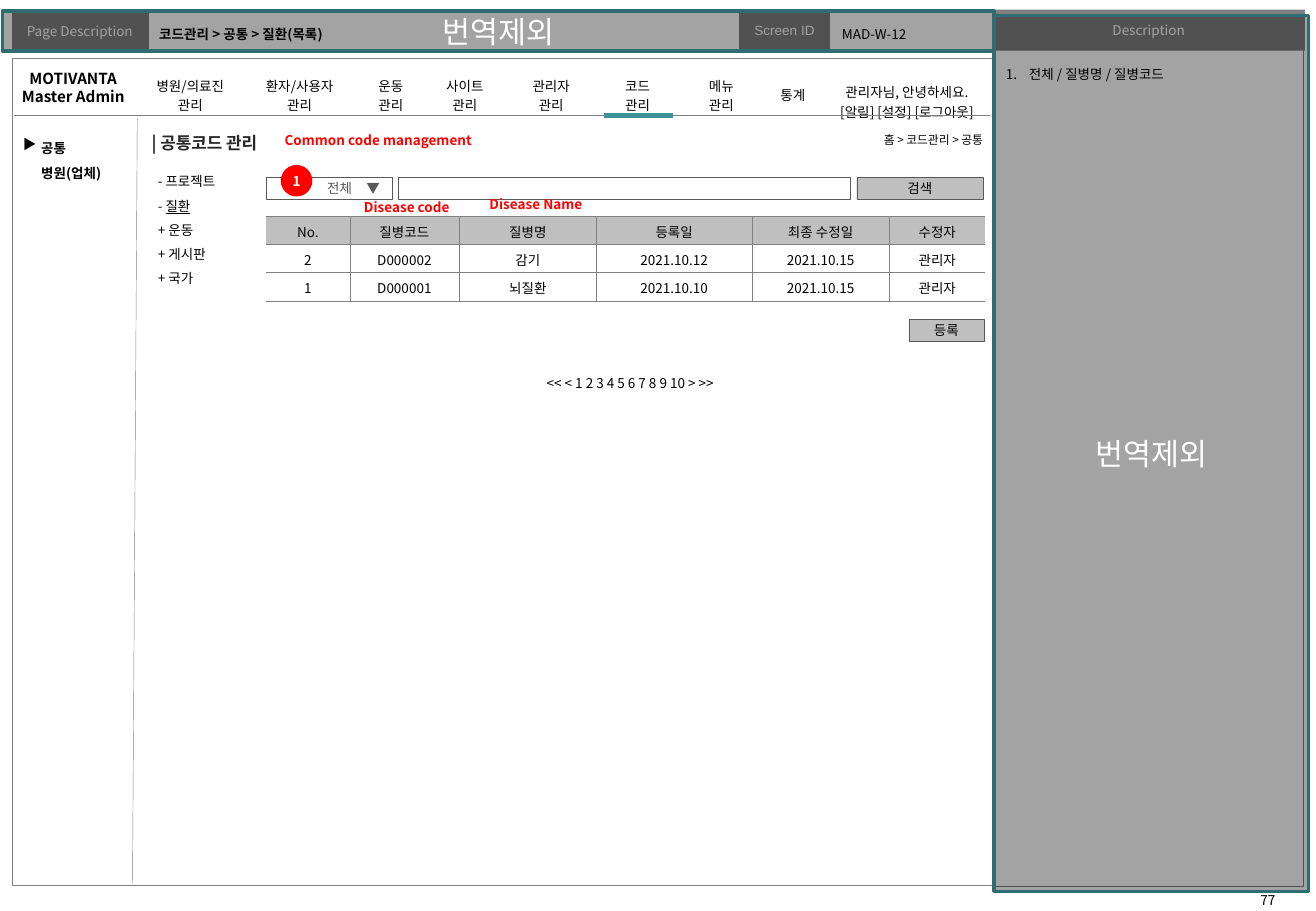
from pptx import Presentation, util as u
from pptx.dml.color import RGBColor
from pptx.enum import shapes, text
from pptx.oxml import parse_xml
from pptx.oxml.ns import nsdecls, qn

COLORS = {"white": "FFFFFF", "black": "000000", "gray": "808080", "silver": "BFBFBF",
          "slate": "595959", "ink": "262626", "red": "FF0000", "teal": "3B9399",
          "frame": "2F6D72"}
FONT = "Noto Sans CJK KR"
ALIGN = {"l": text.PP_ALIGN.LEFT, "c": text.PP_ALIGN.CENTER, "r": text.PP_ALIGN.RIGHT}
ANCHOR = {"t": text.MSO_ANCHOR.TOP, "m": text.MSO_ANCHOR.MIDDLE}
INSETS = (0.25, 0.13, 0.25, 0.13)
RECT, OVAL = shapes.MSO_SHAPE.RECTANGLE, shapes.MSO_SHAPE.OVAL

HEADER = ["Page Description", "", "Screen ID", ""]
HEADER_WIDTHS = [2.84, 12.37, 1.88, 3.43]
MENU = [["병원/의료진", "관리"], ["환자/사용자", "관리"], ["운동", "관리"], ["사이트", "관리"],
        ["관리자", "관리"], ["코드", "관리"], ["메뉴", "관리"], ["통계"],
        ["관리자님, 안녕하세요.", "[알림] [설정] [로그아웃]"]]
MENU_WIDTHS = [2.16, 2.41, 1.4, 1.7, 1.91, 1.7, 1.8, 1.19, 3.58]
DISEASES = [["No.", "질병코드", "질병명", "등록일", "최종 수정일", "수정자"],
            ["2", "D000002", "감기", "2021.10.12", "2021.10.15", "관리자"],
            ["1", "D000001", "뇌질환", "2021.10.10", "2021.10.15", "관리자"]]
DISEASE_WIDTHS = [1.75, 2.29, 2.87, 3.25, 2.87, 2.01]

FRAMES = [((0.25, 1.22, 20.5, 17.3), None), ((20.75, 0.99, 6.5, 17.55), None),
          ((20.75, 0.2, 6.53, 0.86), "gray")]
OVERLAYS = [(20.78, 0.33, 6.58, 18.31), (0.05, 0.23, 20.73, 0.84)]
LINES = [((2.87, 2.49, 2.77, 18.49), "gray", 0.25), ((0.3, 2.41, 20.7, 2.41), "gray", 0.25),
         ((12.62, 2.41, 14.07, 2.41), "teal", 3)]
BUTTONS = [("등록", (19, 6.68, 1.57, 0.46), "silver"), ("", (8.33, 3.71, 9.45, 0.46), None),
           ("검색", (17.91, 3.71, 2.64, 0.46), "silver")]
NO_INSETS = (0, 0, 0, 0)
RED_LABEL = {"align": "c", "bold": True, "color": "red", "insets": NO_INSETS}
LABELS = [
    (["77"], (25.45, 18.52, 2.11, 0.51), {"align": "c"}),
    (["공통", "병원(업체)"], (0.61, 2.64, 1.85, 1.27), {"bold": True, "spacing": 1.5}),
    (["MOTIVANTA", "Master Admin"], (0.03, 1.32, 3, 1.02),
     {"align": "c", "bold": True, "size": 9}),
    (["코드관리 > 공통 > 질환(목록)"], (3.23, 0.33, 12.73, 0.76),
     {"bold": True, "anchor": "m", "insets": (0.1, 0.13, 0.1, 0.13)}),
    (["MAD-W-12"], (17.35, 0.33, 3.3, 0.76), {"anchor": "m"}),
    (["▶"], (0.23, 2.72, 0.79, 0.61), {}),
    (["| 공통코드 관리"], (2.92, 2.64, 3.02, 0.69), {"bold": True, "size": 10, "color": "ink"}),
    (["- 프로젝트", ("- ", "질환"), "+ 운동", "+ 게시판", "+ 국가"], (3.05, 3.33, 2.2, 2.82),
     {"spacing": 1.5}),
    (["<< < 1 2 3 4 5 6 7 8 9 10 > >>"], (5.56, 7.72, 15.24, 0.61), {"align": "c"}),
    (["홈 > 코드관리 > 공통"], (16.8, 2.64, 4, 0.56), {"align": "r", "size": 7}),
    (["Common code management"], (5.56, 2.77, 4.7, 0.33), RED_LABEL),
    (["Disease code"], (7.26, 4.17, 2.49, 0.33), RED_LABEL),
    (["Disease Name"], (9.96, 4.11, 2.49, 0.33), RED_LABEL),
]


def rgb(name):
    return RGBColor.from_string(COLORS[name])


def box(bounds):
    return [u.Cm(value) for value in bounds]


def style(run, size=8, color="black", bold=False, font=FONT):
    run.font.size, run.font.bold, run.font.name = u.Pt(size), bold, font
    run.font.color.rgb = rgb(color)
    run._r.rPr.append(parse_xml(f'<a:ea {nsdecls("a")} typeface="{FONT}"/>'))


def write(frame, lines, align="l", spacing=None, **look):
    for index, line in enumerate(lines):
        paragraph = frame.add_paragraph() if index else frame.paragraphs[0]
        paragraph.alignment = ALIGN[align]
        if spacing:
            paragraph.line_spacing = spacing
        for position, part in enumerate(line if isinstance(line, tuple) else (line,)):
            run = paragraph.add_run()
            run.text = part
            style(run, **look)
            if position:
                run.font.underline = True


def set_insets(target, insets):
    sides = ("margin_left", "margin_top", "margin_right", "margin_bottom")
    for side, value in zip(sides, insets):
        setattr(target, side, u.Cm(value))


def add_label(slide, lines, bounds, anchor="t", insets=INSETS, **look):
    frame = slide.shapes.add_textbox(*box(bounds)).text_frame
    frame.word_wrap, frame.vertical_anchor = True, ANCHOR[anchor]
    set_insets(frame, insets)
    write(frame, lines, **look)
    return frame


def add_box(slide, bounds, fill=None, line=None, width=0.25, kind=RECT, label="", **look):
    shape = slide.shapes.add_shape(kind, *box(bounds))
    shape.shadow.inherit = False
    if fill:
        shape.fill.solid()
        shape.fill.fore_color.rgb = rgb(fill)
    else:
        shape.fill.background()
    if line:
        shape.line.color.rgb, shape.line.width = rgb(line), u.Pt(width)
    else:
        shape.line.fill.background()
    set_insets(shape.text_frame, NO_INSETS)
    shape.text_frame.vertical_anchor = ANCHOR["m"]
    if label:
        write(shape.text_frame, [label], **{"align": "c", **look})
    return shape


def add_line(slide, ends, color, width):
    line = slide.shapes.add_connector(shapes.MSO_CONNECTOR.STRAIGHT, *box(ends))
    line.line.color.rgb, line.line.width = rgb(color), u.Pt(width)
    line._element.spPr.append(parse_xml(f'<a:effectLst {nsdecls("a")}/>'))


def add_grid(slide, left, top, widths, height, count):
    frame = slide.shapes.add_table(count, len(widths),
                                   *box((left, top, sum(widths), height * count)))
    table = frame.table
    table.first_row = table.horz_banding = False
    for column, width in zip(table.columns, widths):
        column.width = u.Cm(width)
    for row in table.rows:
        row.height = u.Cm(height)
    return table


def fill_cell(cell, lines, insets, fill=None, edges="", **look):
    cell.vertical_anchor = ANCHOR["m"]
    set_insets(cell, insets)
    for side in "LRTB":
        paint = (f'<a:solidFill><a:srgbClr val="{COLORS["gray"]}"/></a:solidFill>'
                 if side in edges else "<a:noFill/>")
        cell._tc.get_or_add_tcPr().append(
            parse_xml(f'<a:ln{side} {nsdecls("a")} w="3175">{paint}</a:ln{side}>'))
    if fill:
        cell.fill.solid()
        cell.fill.fore_color.rgb = rgb(fill)
    else:
        cell.fill.background()
    if lines == [""]:
        cell.text_frame.paragraphs[0]._p.get_or_add_endParaRPr().set("sz", "800")
    else:
        write(cell.text_frame, lines, align="c", **look)


def add_tables(slide):
    menu = add_grid(slide, 2.9, 1.37, MENU_WIDTHS, 1.04, 1)
    for column, lines in enumerate(MENU):
        last = column == len(MENU) - 1
        fill_cell(menu.cell(0, column), lines,
                  (0.25, 0.13, 0.25, 0) if last else (0.1, 0, 0.1, 0.13))
    diseases = add_grid(slide, 5.56, 4.52, DISEASE_WIDTHS, 0.59, len(DISEASES))
    for row, values in enumerate(DISEASES):
        for column, value in enumerate(values):
            edges = "TB" + "L" * (column > 0) + "R" * (column < len(values) - 1)
            fill_cell(diseases.cell(row, column), [value], (0.1, 0.1, 0.1, 0.05),
                      None if row else "silver", edges)


def add_page_frame(slide):
    header = add_grid(slide, 0.25, 0.23, HEADER_WIDTHS, 0.81, 1)
    for column, value in enumerate(HEADER):
        fill_cell(header.cell(0, column), [value], (0.1, 0.1, 0.1, 0.1),
                  "gray" if value else "white", "LRTB", color="white",
                  font="Arial" if value == "Screen ID" else FONT)
    for bounds, fill in FRAMES:
        add_box(slide, bounds, fill, None if fill else "gray",
                label="Description" if fill else "", color="white")
    for bounds in OVERLAYS:
        overlay = add_box(slide, bounds, "black", "frame", 2, label="번역제외",
                          size=18, color="white")
        tint = overlay._element.spPr.find(qn("a:solidFill"))[0]
        tint.append(parse_xml(f'<a:alpha {nsdecls("a")} val="36000"/>'))


def main():
    """Build the disease code list screen."""
    presentation = Presentation()
    presentation.slide_width, presentation.slide_height = u.Cm(27.51), u.Cm(19.05)
    slide = presentation.slides.add_slide(presentation.slide_layouts[6])
    add_page_frame(slide)
    add_tables(slide)
    for ends, color, width in LINES:
        add_line(slide, ends, color, width)
    for label, bounds, fill in BUTTONS:
        add_box(slide, bounds, fill, "slate", label=label)
    choice = add_box(slide, (5.56, 3.71, 2.64, 0.46), None, "slate",
                     label="전체\t▼", align="l", color="slate")
    choice.text_frame.margin_left = u.Cm(1.28)
    choice.text_frame.paragraphs[0]._p.get_or_add_pPr().append(parse_xml(
        f'<a:tabLst {nsdecls("a")}><a:tab pos="{u.Cm(0.82)}" algn="l"/></a:tabLst>'))
    add_box(slide, (5.87, 3.45, 0.66, 0.66), "red", kind=OVAL, label="1",
            color="white", bold=True)
    for lines, bounds, look in LABELS:
        add_label(slide, lines, bounds, **look)
    notes = add_label(slide, ["전체 / 질병명 / 질병코드"], (20.78, 1.09, 6.48, 17.45), spacing=1.5)
    numbering = notes.paragraphs[0]._p.get_or_add_pPr()
    numbering.set("marL", str(u.Cm(0.48)))
    numbering.set("indent", str(-u.Cm(0.48)))
    numbering.append(parse_xml(f'<a:buAutoNum {nsdecls("a")} type="arabicPeriod"/>'))
    presentation.save("out.pptx")


if __name__ == "__main__":
    main()
